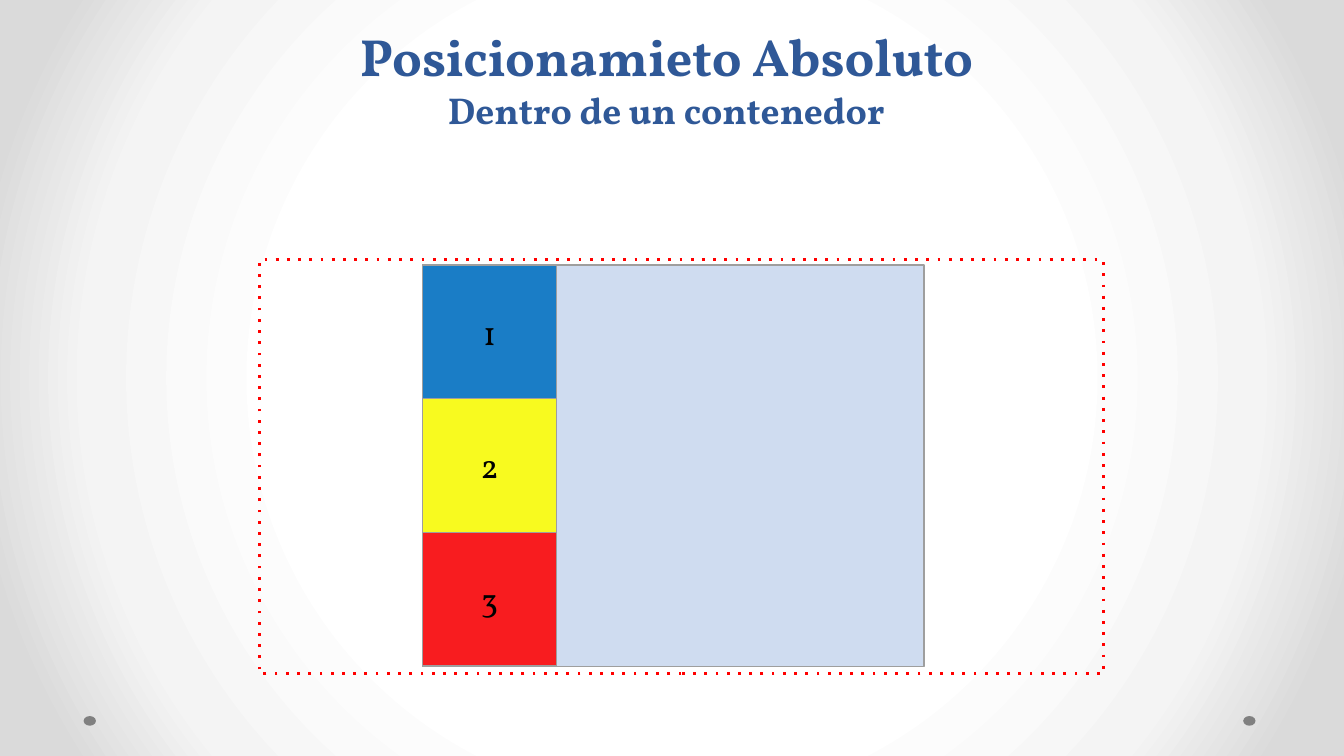
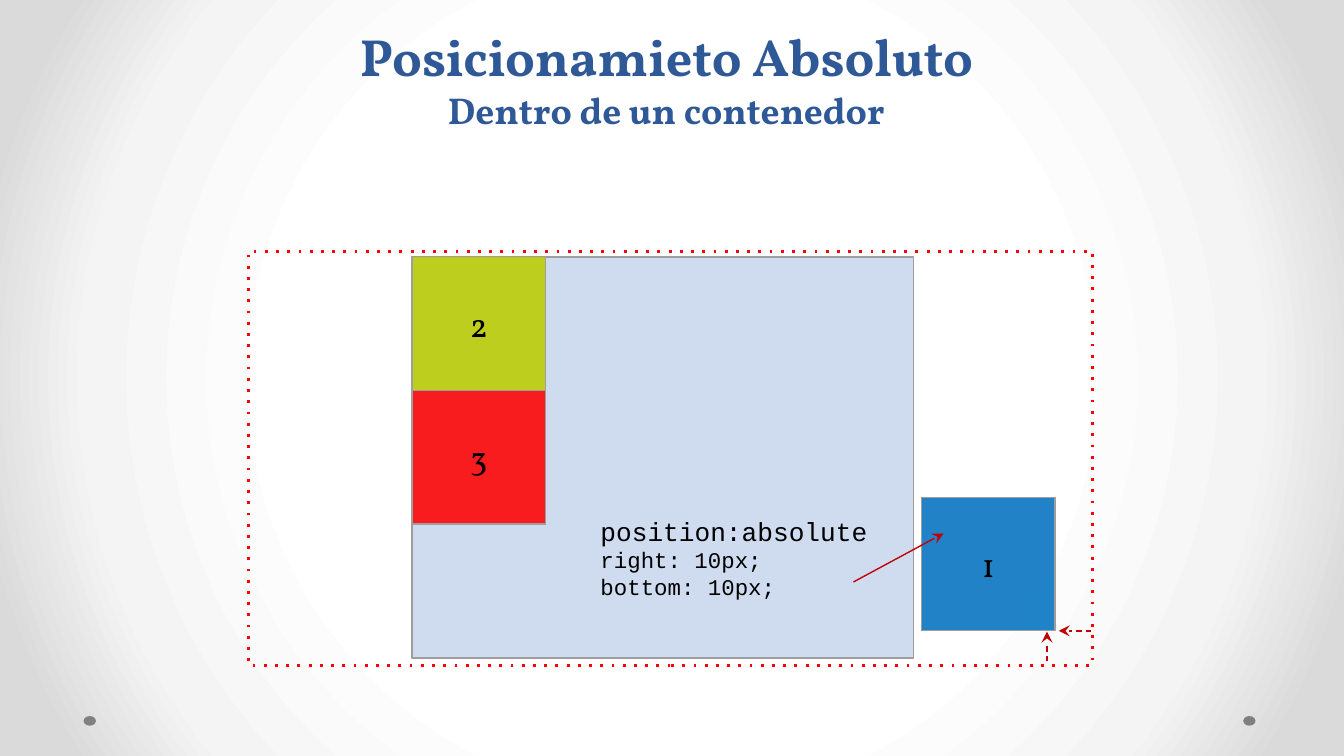
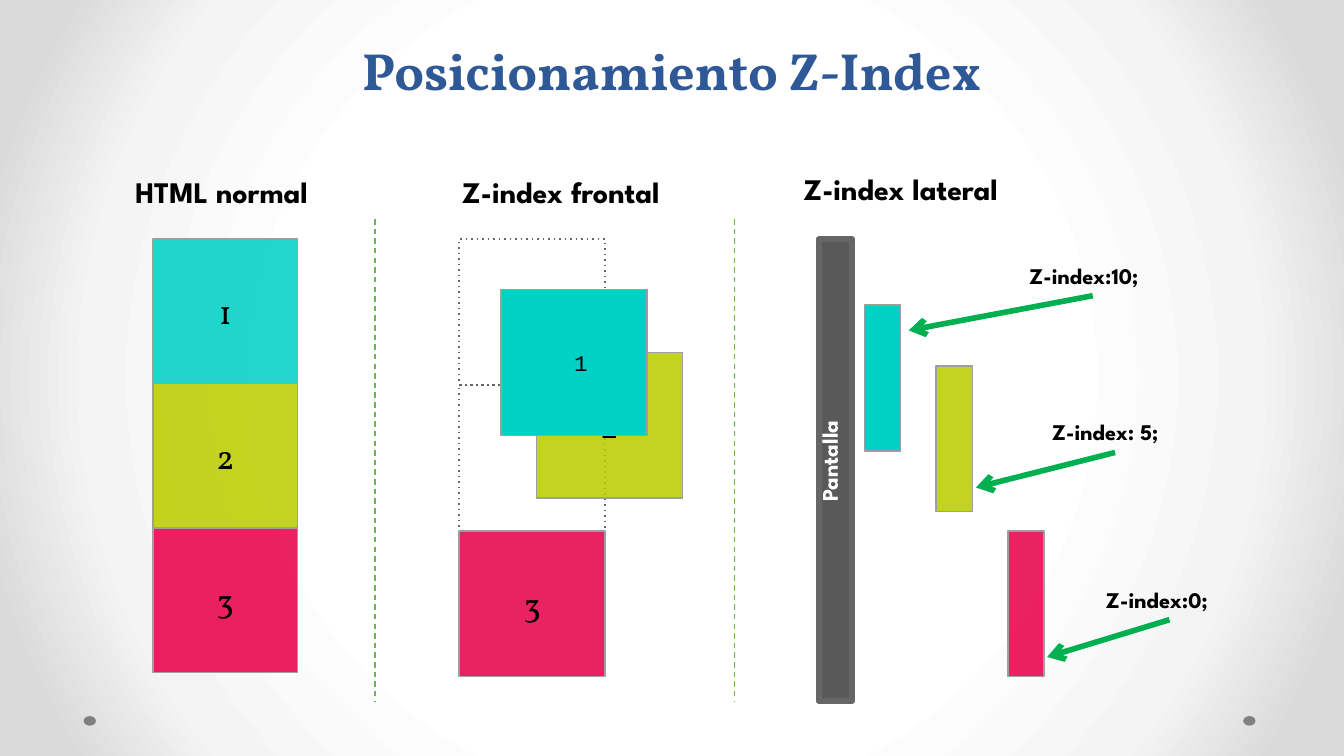
from lxml import etree
from pptx import Presentation
from pptx import util as u
from pptx.dml.color import RGBColor
from pptx.enum import shapes, text
from pptx.oxml import ns, parse_xml

WHITE = RGBColor(0xFF, 0xFF, 0xFF)
BLACK = RGBColor(0, 0, 0)
TITLE_BLUE = RGBColor(0x2F, 0x58, 0x97)
PAGE_BLUE = RGBColor(0xCF, 0xDC, 0xF0)
BLUE = RGBColor(0x00, 0x70, 0xC0)
YELLOW = RGBColor(0xFF, 0xFF, 0x00)
RED = RGBColor(0xFF, 0x00, 0x00)
LIME = RGBColor(0xBB, 0xCD, 0x00)
CYAN = RGBColor(0x00, 0xD1, 0xC6)
PINK = RGBColor(0xE8, 0x00, 0x4C)
CRIMSON = RGBColor(0xC1, 0x00, 0x03)
GREEN = RGBColor(0x00, 0xB0, 0x50)
DIVIDER_GREEN = RGBColor(0x65, 0xBB, 0x48)
EDGE_GRAY = RGBColor(0x9E, 0x9E, 0x9E)
DOT_GRAY = RGBColor(0x80, 0x80, 0x80)
DARK_GRAY = RGBColor(0x66, 0x66, 0x66)
SCREEN_GRAY = RGBColor(0x59, 0x59, 0x59)

SERIF = dict(name="Vollkorn", bold=False)
HEADING = dict(name="Vollkorn", bold=True)
CODE = dict(name="Courier New", bold=False)
CAPTION = dict(name="League Spartan", bold=True)

PADDED = dict(word_wrap=True, margin_left=u.Pt(7.2), margin_right=u.Pt(7.2),
              margin_top=u.Pt(7.2), margin_bottom=u.Pt(7.2))
MIDDLE = dict(PADDED, vertical_anchor=text.MSO_ANCHOR.MIDDLE)
BOTTOM = dict(PADDED, vertical_anchor=text.MSO_ANCHOR.BOTTOM)
GROWING = dict(word_wrap=True, auto_size=text.MSO_AUTO_SIZE.SHAPE_TO_FIT_TEXT)
CENTER, LEFT = text.PP_ALIGN.CENTER, text.PP_ALIGN.LEFT


def write(frame, layout, lines, face, color, align=LEFT):
    for key, value in layout.items():
        setattr(frame, key, value)
    for number, line in enumerate(lines):
        paragraph = frame.add_paragraph() if number else frame.paragraphs[0]
        paragraph.alignment = align
        for words, size in line:
            run = paragraph.add_run()
            run.text = words
            for key, value in dict(face, size=u.Pt(size)).items():
                setattr(run.font, key, value)
            run.font.color.rgb = color


def stroke(drawn, color, width, dash=None, tip=None):
    drawn.line.color.rgb = color
    drawn.line.width = u.Pt(width)
    outline = drawn.get_or_add_ln()
    if dash:
        etree.SubElement(outline, ns.qn("a:prstDash"), val=dash)
    if tip:
        etree.SubElement(outline, ns.qn("a:tailEnd"), type=tip)


deck = Presentation()
deck.slide_width, deck.slide_height = u.Pt(720), u.Pt(405)

backdrop = deck.slide_master.background
backdrop.fill.solid()
stops = "".join(f'<a:gs pos="{pos}000"><a:srgbClr val="{color}"/></a:gs>'
                for pos, color in [(50, "FFFFFF"), (76, "F4F4F4"), (92, "DADADA")])
gradient = parse_xml(
    f'<a:gradFill {ns.nsdecls("a")} rotWithShape="1"><a:gsLst>{stops}</a:gsLst>'
    '<a:path path="circle"><a:fillToRect l="50000" t="50000" r="50000" b="50000"/></a:path>'
    '</a:gradFill>')
solid = next(deck.slide_master.element.iter(ns.qn("p:bgPr"))).find(ns.qn("a:solidFill"))
solid.getparent().replace(solid, gradient)

absolute = [("Posicionamieto Absoluto ", 28), ("Dentro de un contenedor", 20)]
titles = [(167, 21, 380, absolute), (167, 21, 380, absolute),
          (116, 4.3, 487.5, [("Posicionamiento Z-Index", 28)])]
for left, top, width, title in titles:
    slide = deck.slides.add_slide(deck.slide_layouts[6])
    for dot_left in (666, 44.8):
        dot = slide.shapes.add_shape(shapes.MSO_SHAPE.OVAL, u.Pt(dot_left), u.Pt(383.6),
                                     u.Pt(6.6), u.Pt(5.2))
        dot.shadow.inherit = False
        dot.fill.solid()
        dot.fill.fore_color.rgb = DOT_GRAY
        dot.line.fill.background()
    heading = slide.shapes.add_textbox(u.Pt(left), u.Pt(top), u.Pt(width), u.Pt(57))
    write(heading.text_frame, BOTTOM, [title], HEADING, TITLE_BLUE, CENTER)
normal, positioned, stacked = deck.slides

edge = (EDGE_GRAY, 0.75)
ghost = (DARK_GRAY, 0.75, "dot")
numeral = (SERIF, 18)
boxes = []  # slide, left, top, width, height, fill, opacity, outline, label, type

tile = 71.6
for slide, left, top, colors in [(normal, 139, 139, {"1": BLUE, "2": YELLOW, "3": RED}),
                                 (positioned, 133.2, 134.6, {"2": LIME, "3": RED})]:
    boxes.append((slide, left, top, 452, 222, None, 100, (RED, 1.5, "dot"), "", numeral))
    left, top = left + 87.5, top + 3
    boxes.append((slide, left, top, 268.6, 215, PAGE_BLUE, 100, edge, "", numeral))
    for row, (label, color) in enumerate(colors.items()):
        boxes.append((slide, left, top + row * tile, tile, tile, color, 87, edge, label, numeral))
boxes.append((positioned, 493.7, 266.4, tile, tile, BLUE, 87, edge, "1", numeral))

top, cell, layer = 128, 77.4, 78.2
for row, color in enumerate((CYAN, LIME, PINK)):
    boxes.append((stacked, 82, top + row * cell, cell, cell, color, 87, edge,
                  str(row + 1), numeral))
for row in range(2):
    boxes.append((stacked, 246, top + row * layer, layer, layer, None, 100, ghost, "", numeral))
for left, front_top, color, opacity, label, face in [
        (246, top + 2 * layer, PINK, 87, "3", numeral),
        (287.4, 188.7, LIME, 87, "2", numeral),
        (268.4, 155.2, CYAN, 100, " 1", (CODE, 12))]:
    boxes.append((stacked, left, front_top, layer, layer, color, opacity, edge, label, face))
boxes.append((stacked, 438.6, top, 18, 247.6, SCREEN_GRAY, 100, (DARK_GRAY, 3), "", numeral))
for depth, (side_top, color, opacity) in enumerate(
        [(163.4, CYAN, 100), (196, LIME, 87), (284.4, PINK, 87)]):
    boxes.append((stacked, 463 + depth * 38.5, side_top, 19.4, layer, color, opacity, edge,
                  "", numeral))

for slide, left, top, width, height, color, opacity, outline, label, (face, size) in boxes:
    box = slide.shapes.add_shape(shapes.MSO_SHAPE.RECTANGLE, u.Pt(left), u.Pt(top),
                                 u.Pt(width), u.Pt(height))
    box.shadow.inherit = False
    if color is None:
        box.fill.background()
    else:
        box.fill.solid()
        box.fill.fore_color.rgb = color
        if opacity < 100:
            tint = next(box.element.spPr.iter(ns.qn("a:srgbClr")))
            etree.SubElement(tint, ns.qn("a:alpha"), val=str(opacity * 1000))
    stroke(box, *outline)
    if label:
        write(box.text_frame, MIDDLE, [[(label, size)]], face, BLACK, CENTER)

rules = positioned.shapes.add_textbox(u.Pt(314.6), u.Pt(265.7), u.Pt(168), u.Pt(66))
write(rules.text_frame, MIDDLE,
      [[("position:absolute", 14)], [("right: 10px;", 12)], [("bottom: 10px;", 12)]],
      CODE, BLACK)

for words, left, top, width, size, color, turn in [
        ("HTML normal", 65.5, 89.3, 113, 16, BLACK, 0),
        ("Z-index frontal", 240.5, 89.3, 126, 16, BLACK, 0),
        ("Z-index lateral", 423.4, 88, 136, 16, BLACK, 0),
        ("Z-index:10;", 544.3, 136.8, 82, 12, BLACK, 0),
        ("Z-index: 5;", 556.5, 220.3, 82, 12, BLACK, 0),
        ("Z-index:0;", 585.4, 310.3, 82, 12, BLACK, 0),
        ("Pantalla", 403.2, 224, 82, 12, WHITE, 270)]:
    caption = stacked.shapes.add_textbox(u.Pt(left), u.Pt(top), u.Pt(width),
                                         u.Pt(26.6 if size == 16 else 21.6))
    caption.rotation = turn
    write(caption.text_frame, GROWING, [[(words, size)]], CAPTION, color)

divider = (DIVIDER_GREEN, 0.75, "dash")
offset = (CRIMSON, 0.75, "dash", "stealth")
pointer = (GREEN, 3, None, "arrow")
for slide, x1, y1, x2, y2, outline in [
        (positioned, 457.2, 311.8, 505.4, 285.8, (CRIMSON, 0.75, None, "stealth")),
        (positioned, 584.6, 338, 567.2, 338, offset),
        (positioned, 560.9, 354.2, 560.9, 338.4, offset),
        (stacked, 200.9, 117.4, 200.9, 375.8, divider),
        (stacked, 393.6, 117.4, 393.6, 375.8, divider),
        (stacked, 585.4, 158.4, 486.8, 177, pointer),
        (stacked, 597.4, 242.4, 522.8, 261.2, pointer),
        (stacked, 626.5, 332, 561, 352, pointer)]:
    link = slide.shapes.add_connector(shapes.MSO_CONNECTOR.STRAIGHT,
                                      u.Pt(x1), u.Pt(y1), u.Pt(x2), u.Pt(y2))
    stroke(link, *outline)
    etree.SubElement(link.element.spPr, ns.qn("a:effectLst"))

deck.save("out.pptx")
